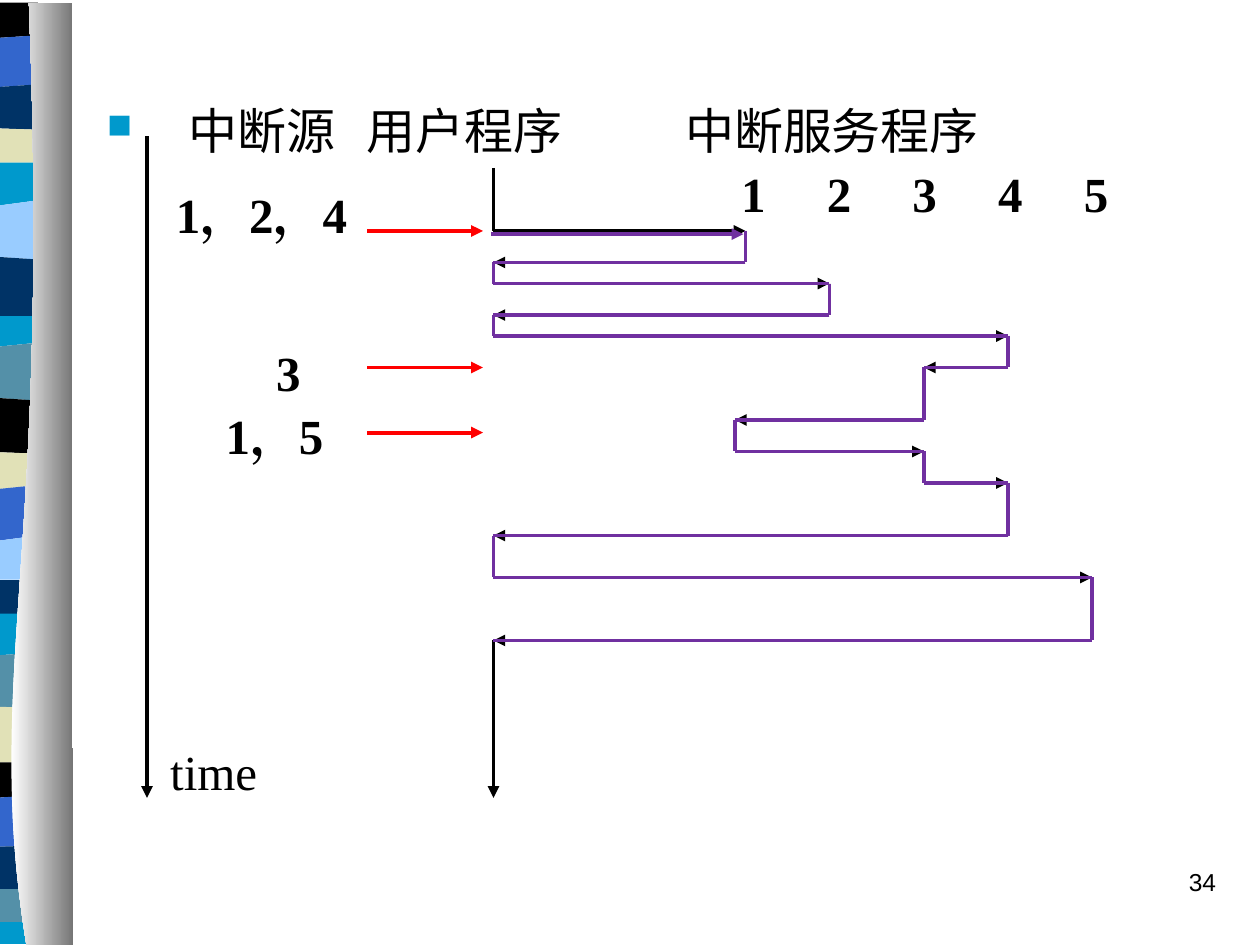
import pptx
import pptx.util
import pptx.dml.color
import pptx.enum.shapes
import pptx.enum.text
import pptx.oxml.ns
import lxml.etree

RGB = pptx.dml.color.RGBColor
BLACK = RGB(0x00, 0x00, 0x00)
WHITE = RGB(0xFF, 0xFF, 0xFF)
RED = RGB(0xFF, 0x00, 0x00)
PURPLE = RGB(0x70, 0x30, 0xA0)
TEAL = RGB(0x00, 0x99, 0xCC)
SLATE = RGB(0x54, 0x90, 0xA8)
SAND = RGB(0xE1, 0xE1, 0xB7)
BLUE = RGB(0x33, 0x66, 0xCC)
NAVY = RGB(0x00, 0x33, 0x66)
SKY = RGB(0x99, 0xCC, 0xFF)
GRAY = RGB(0x76, 0x76, 0x76)

LEFT = pptx.enum.text.PP_ALIGN.LEFT
MID = pptx.enum.text.PP_ALIGN.CENTER
RIGHT = pptx.enum.text.PP_ALIGN.RIGHT
TIMES = "Times New Roman"
CELL = pptx.util.Inches(1) // 12

BANDS = [
    (0.02, 0.02, BLACK), (0.30, 0.28, BLUE), (0.69, 0.67, NAVY), (1.02, 1.03, SAND),
    (1.29, 1.29, TEAL), (1.63, 1.59, SKY), (2.04, 2.06, NAVY), (2.51, 2.51, TEAL),
    (2.75, 2.72, SLATE), (3.16, 3.18, BLACK), (3.59, 3.60, SAND), (3.88, 3.85, BLUE),
    (4.29, 4.25, SKY), (4.60, 4.60, NAVY), (4.87, 4.87, TEAL), (5.20, 5.18, SLATE),
    (5.61, 5.62, SAND), (6.05, 6.05, BLACK), (6.33, 6.31, BLUE), (6.72, 6.71, NAVY),
    (7.06, 7.06, SLATE), (7.32, 7.32, TEAL), (7.49, 7.49, None),
]
ROUTE = [
    (47, 22), (71, 22), (71, 25), (47, 25), (47, 27), (79, 27), (79, 30), (47, 30),
    (47, 32), (96, 32), (96, 35), (88, 35), (88, 40), (70, 40), (70, 43), (88, 43),
    (88, 46), (96, 46), (96, 51), (47, 51), (47, 55), (104, 55), (104, 61), (47, 61),
]


def add(root, tag, **attrs):
    """Append a drawing element to root."""
    return lxml.etree.SubElement(root, pptx.oxml.ns.qn(tag), attrs)


class Page:
    """Draws on one slide with a grid of twelve cells to the inch."""

    def __init__(self, deck):
        self.slide = deck.slides.add_slide(deck.slide_layouts[6])
        self.shapes = self.slide.shapes
        self.width = 2.25

    def line(self, start, end, color=BLACK, head=False):
        """Draw a straight line between two grid points."""
        ends = [round(n * CELL) for n in (*start, *end)]
        kind = pptx.enum.shapes.MSO_CONNECTOR.STRAIGHT
        link = self.shapes.add_connector(kind, *ends)
        link.line.color.rgb = color
        link.line.width = pptx.util.Pt(self.width)
        if head:
            add(link.line._get_or_add_ln(), "a:tailEnd", type="triangle")
        add(link._element.spPr, "a:effectLst")

    def route(self, points, color, heads=False):
        """Draw a chain of lines, with heads on the level ones if asked."""
        for start, end in zip(points, points[1:]):
            self.line(start, end, color, heads and start[1] == end[1])

    def form(self, points, color, fade=None):
        """Draw a filled outline through points in inches."""
        spots = [tuple(pptx.util.Inches(n) for n in spot) for spot in points]
        pen = self.shapes.build_freeform(*spots[0])
        pen.add_line_segments(spots[1:], close=True)
        shape = pen.convert_to_shape()
        shape.shadow.inherit = False
        shape.line.fill.background()
        if fade is None:
            shape.fill.solid()
            shape.fill.fore_color.rgb = color
        else:
            shape.fill.gradient()
            shape.fill.gradient_angle = 0
            for stop, tone in zip(shape.fill.gradient_stops, (color, fade)):
                stop.color.rgb = tone

    def text(self, text, box, size=28, font=TIMES, bold=False, align=MID,
             wrap=False, space=0, mark=None, tabs=()):
        """Write one paragraph in a box given in grid cells."""
        frame = self.shapes.add_textbox(*[round(n * CELL) for n in box]).text_frame
        frame.word_wrap = wrap
        para = frame.paragraphs[0]
        para.alignment = align
        para.space_before = pptx.util.Pt(space)
        run = para.add_run()
        run.text = text
        run.font.size = pptx.util.Pt(size)
        run.font.name = font
        run.font.bold = bold
        run.font.color.rgb = BLACK
        add(run.font._element, "a:ea", typeface=font)
        props = para._p.get_or_add_pPr()
        if mark:
            add(add(props, "a:buClr"), "a:srgbClr", val=str(TEAL))
            add(props, "a:buSzPct", val="70000")
            add(props, "a:buChar", char=mark)
        if tabs:
            stops = add(props, "a:tabLst")
            for tab in tabs:
                add(stops, "a:tab", pos=str(pptx.util.Inches(tab)), algn="l")


def border(page):
    """Draw the striped band and its curved gray edge."""
    for (left, right, color), (low, end, _) in zip(BANDS, BANDS[1:]):
        page.form([(0, left), (0.3, right), (0.3, end), (0, low)], color)
    curve = []
    for step in range(31):
        t = step / 30
        parts = ((1 - t) ** 3, 3 * t * (1 - t) ** 2, 3 * t * t * (1 - t), t ** 3)
        curve.append((sum(a * b for a, b in zip(parts, (0.21, -0.14, 0.41, 0.23))),
                      sum(a * b for a, b in zip(parts, (7.5, 5.33, 4.54, 0.02)))))
    page.form(curve + [(0.57, 0.02), (0.58, 7.5)], WHITE, GRAY)


def main():
    """Build the slide."""
    deck = pptx.Presentation()
    deck.slide_width = pptx.util.Inches(10)
    deck.slide_height = pptx.util.Inches(7.5)
    page = Page(deck)
    border(page)

    page.text("\t中断源\t用户程序\t中断服务程序", (9, 9, 102, 8),
              font="Noto Sans CJK SC", align=LEFT, wrap=True, space=7,
              mark="■", tabs=(0.65, 2.06, 4.59))
    page.text("\t".join("12345"), (69.4, 15, 38, 6.8), bold=True, align=LEFT,
              wrap=True, tabs=[0.68 * n for n in range(1, 5)])
    for label, box in (("1，2，4", (13.3, 17, 23.2, 6.8)),
                       ("3", (25.1, 32, 4.7, 6.8)),
                       ("1，5", (19.2, 38, 13.9, 6.8))):
        page.text(label, box, bold=True)
    page.text("time", (15, 70, 10.7, 6.8))
    page.text("34", (92, 82, 25, 6), size=14, font="Arial", align=RIGHT,
              wrap=True, space=8.8)

    page.line((14, 13), (14, 76), head=True)
    page.line((47, 16), ROUTE[0])
    page.route(ROUTE, BLACK, heads=True)
    page.line(ROUTE[-1], (47, 76), head=True)
    for row in (22, 35, 41.2):
        page.line((35, row), (46, row), RED, head=True)
    page.line((46.8, 22.3), (70.8, 22.3), PURPLE, head=True)
    page.route(ROUTE[1:], PURPLE)
    deck.save("out.pptx")


if __name__ == "__main__":
    main()
